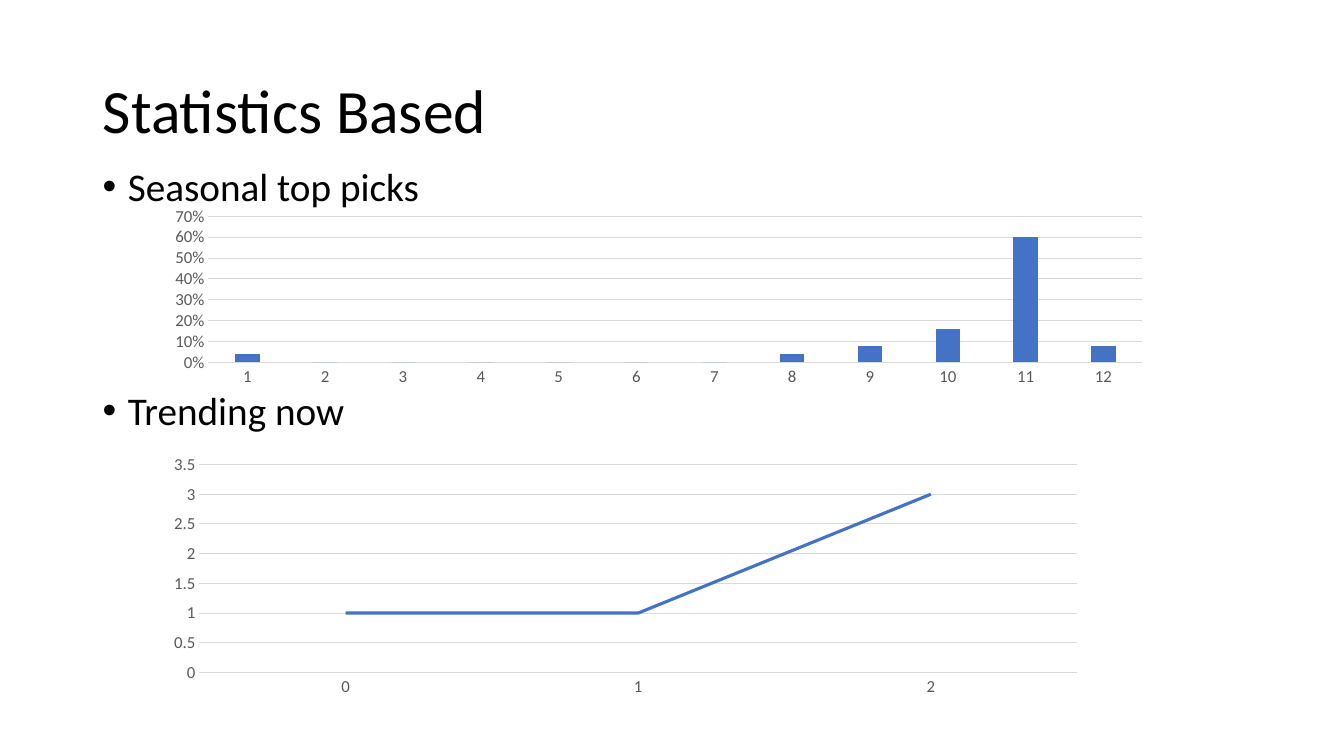
from lxml import etree
from pptx import Presentation
from pptx.chart.data import CategoryChartData
from pptx.dml.color import RGBColor
from pptx.enum.chart import XL_CHART_TYPE, XL_TICK_MARK
from pptx.enum.text import MSO_ANCHOR, PP_ALIGN
from pptx.oxml.ns import qn
from pptx.util import Inches, Pt

COLUMN, LINE = XL_CHART_TYPE.COLUMN_CLUSTERED, XL_CHART_TYPE.LINE
NO_TICK = XL_TICK_MARK.NONE
MIDDLE, LEFT = MSO_ANCHOR.MIDDLE, PP_ALIGN.LEFT
TITLE_ONLY = 5
FONT = "Calibri"
COLORS = {"text": "000000", "label": "595959", "grid": "D9D9D9", "series": "4472C4"}
SLIDE = (13.33, 7.5)
TITLE_BOX = (0.92, 0.4, 11.5, 1.45)
TOPICS_BOX = (0.92, 1.61, 11.5, 4.76)
SEASONAL_BOX = (1.54, 2.01, 9.99, 1.86)
TRENDING_BOX = (1.54, 4.46, 9.33, 2.5)
TOPICS = [("Seasonal top picks", 10), ("Trending now", 130)]
SEASONAL = [0.04, 0, 0, 0, 0, 0, 0, 0.04, 0.08, 0.16, 0.6, 0.08]
TRENDING = [1, 1, 3]


def color(name):
    """Return the named palette colour."""
    return RGBColor.from_string(COLORS[name])


def set_font(font, size, name):
    """Apply the slide's typeface with a size and a palette colour."""
    font.name, font.size = FONT, Pt(size)
    font.color.rgb = color(name)


def add_title(page, box, text):
    """Place and format the title placeholder."""
    title = page.shapes.title
    title.left, title.top, title.width, title.height = map(Inches, box)
    title.text_frame.text = text
    title.text_frame.vertical_anchor = MIDDLE
    para = title.text_frame.paragraphs[0]
    para.alignment, para.line_spacing = LEFT, 0.9
    set_font(para.font, 44, "text")


def add_topics(page, box, topics):
    """Write the bulleted topics, spaced to leave room for the charts."""
    frame = page.shapes.add_textbox(*map(Inches, box)).text_frame
    frame.word_wrap = True
    frame.text = "\n".join(text for text, _ in topics)
    for para, (_, gap) in zip(frame.paragraphs, topics):
        para.line_spacing, para.space_before = 0.9, Pt(gap)
        set_font(para.font, 28, "text")
        props = para._p.get_or_add_pPr()
        props.set("marL", str(Inches(0.25)))
        props.set("indent", str(-Inches(0.25)))
        etree.SubElement(props, qn("a:buFont")).set("typeface", "Arial")
        etree.SubElement(props, qn("a:buChar")).set("char", "•")
        props.append(props.find(qn("a:defRPr")))


def add_chart(page, box, kind, first, values, top, step, number_format):
    """Add a one-series chart with plain axes and light gridlines."""
    data = CategoryChartData()
    data.categories = [str(first + index) for index in range(len(values))]
    data.add_series("Series 1", values)
    chart = page.shapes.add_chart(kind, *map(Inches, box), data).chart
    chart.has_legend = chart.has_title = False
    set_font(chart.font, 10, "text")
    for axis in (chart.category_axis, chart.value_axis):
        axis.major_tick_mark = axis.minor_tick_mark = NO_TICK
        set_font(axis.tick_labels.font, 12, "label")
    axis = chart.value_axis
    axis.minimum_scale, axis.maximum_scale, axis.major_unit = 0, top, step
    axis.tick_labels.number_format = number_format
    axis.tick_labels.number_format_is_linked = False
    axis.format.line.fill.background()
    for line in (chart.category_axis.format.line, axis.major_gridlines.format.line):
        line.color.rgb, line.width = color("grid"), Pt(0.75)
    return chart.plots[0]


def add_seasonal(page, box):
    """Chart the monthly shares as columns."""
    plot = add_chart(page, box, COLUMN, 1, SEASONAL, 0.7, 0.1, "0%")
    plot.gap_width, plot.overlap, plot.vary_by_categories = 219, -27, False
    fill = plot.series[0].format.fill
    fill.solid()
    fill.fore_color.rgb = color("series")


def add_trending(page, box):
    """Chart the recent counts as a line without markers."""
    plot = add_chart(page, box, LINE, 0, TRENDING, 3.5, 0.5, "General")
    plot.vary_by_categories = False
    series = plot.series[0]
    series.smooth = False
    series.format.line.color.rgb = color("series")
    series.format.line.width = Pt(2.25)


def main():
    """Build the slide and save the deck."""
    deck = Presentation()
    deck.slide_width, deck.slide_height = map(Inches, SLIDE)
    page = deck.slides.add_slide(deck.slide_layouts[TITLE_ONLY])
    add_title(page, TITLE_BOX, "Statistics Based")
    add_topics(page, TOPICS_BOX, TOPICS)
    add_seasonal(page, SEASONAL_BOX)
    add_trending(page, TRENDING_BOX)
    deck.save("out.pptx")


if __name__ == "__main__":
    main()
